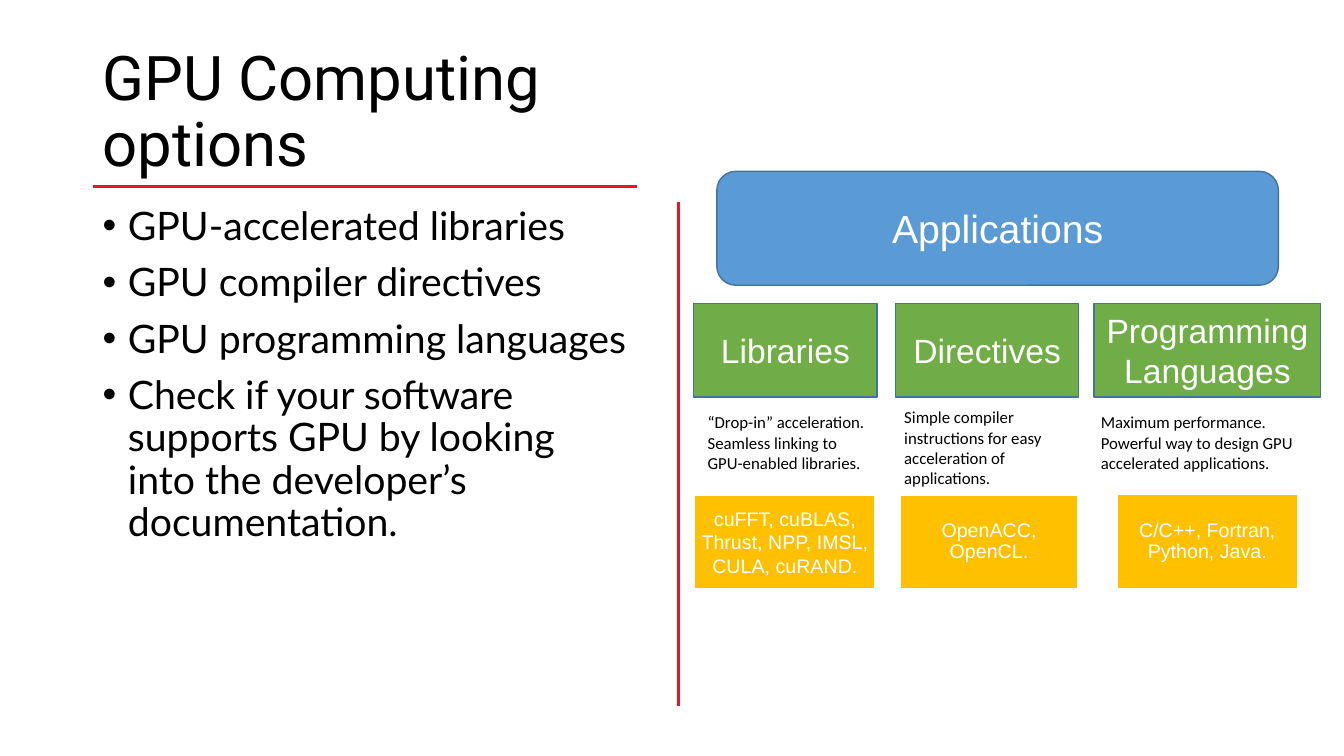
from lxml import etree
from pptx import Presentation, util as u
from pptx.dml.color import RGBColor
from pptx.enum import shapes, text
from pptx.oxml import ns

PX = 9144
BLACK = RGBColor(0x00, 0x00, 0x00)
WHITE = RGBColor(0xFF, 0xFF, 0xFF)
RED = RGBColor(0xE1, 0x19, 0x2B)
BLUE = RGBColor(0x5B, 0x9B, 0xD5)
NAVY = RGBColor(0x43, 0x73, 0x9E)
GREEN = RGBColor(0x70, 0xAD, 0x47)
GOLD = RGBColor(0xFF, 0xC0, 0x00)

MIDDLE = text.MSO_ANCHOR.MIDDLE
CENTER = text.PP_ALIGN.CENTER
RECT = shapes.MSO_SHAPE.RECTANGLE
ROUND = shapes.MSO_SHAPE.ROUNDED_RECTANGLE

POINTS = [
    "GPU-accelerated libraries",
    "GPU compiler directives",
    "GPU programming languages",
    "Check if your software supports GPU by looking into the developer’s documentation.",
]

COLUMNS = [
    ("Libraries", (688, 301, 182, 93),
     "“Drop-in” acceleration. Seamless linking to GPU-enabled libraries.",
     (692, 404, 176, 71),
     "cuFFT, cuBLAS, Thrust, NPP, IMSL, CULA, cuRAND.", (689, 491, 179, 93), 1.0),
    ("Directives", (888, 301, 182, 93),
     "Simple compiler instructions for easy acceleration of applications.",
     (887, 399, 183, 91),
     "OpenACC, OpenCL.", (893, 491, 176, 93), 0.9),
    ("Programming Languages", (1085, 301, 225, 93),
     "Maximum performance. Powerful way to design GPU accelerated applications.",
     (1082, 404, 233, 71),
     "C/C++, Fortran, Python, Java.", (1108, 490, 179, 94), 0.9),
]


class Deck:
    def __init__(self, wide, high):
        self.file = Presentation()
        self.file.slide_width = wide * PX
        self.file.slide_height = high * PX
        self.slide = self.file.slides.add_slide(self.file.slide_layouts[6])

    def scale(self, spots):
        return [spot * PX for spot in spots]

    def apply(self, item, values):
        for name, value in values.items():
            setattr(item, name, value)

    def fill_text(self, frame, lines, font, size, color, para=None, **look):
        self.apply(frame, {"word_wrap": True, **look})
        for i, line in enumerate(lines):
            p = frame.add_paragraph() if i else frame.paragraphs[0]
            self.apply(p, para or {})
            run = p.add_run()
            run.text = line
            self.apply(run.font, {"name": font, "size": u.Pt(size)})
            run.font.color.rgb = color

    def label(self, at, lines, *style, **look):
        box = self.slide.shapes.add_textbox(*self.scale(at))
        self.fill_text(box.text_frame, lines, *style, **look)
        return box

    def bullets(self, at, lines, *style, **look):
        box = self.label(at, lines, *style, **look)
        for p in box.text_frame.paragraphs:
            props = p._p.get_or_add_pPr()
            props.set("marL", str(25 * PX))
            props.set("indent", str(-25 * PX))
            etree.SubElement(props, ns.qn("a:buFont")).set("typeface", "Arial")
            etree.SubElement(props, ns.qn("a:buChar")).set("char", "•")

    def block(self, kind, at, fill, edge, line, size, space=1.0, **look):
        box = self.slide.shapes.add_shape(kind, *self.scale(at))
        box.shadow.inherit = False
        box.fill.solid()
        box.fill.fore_color.rgb = fill
        box.line.color.rgb = edge
        box.line.width = u.Pt(1)
        para = {"alignment": CENTER, "line_spacing": space}
        self.fill_text(box.text_frame, [line], "Arial", size, WHITE, para,
                       vertical_anchor=MIDDLE, **look)

    def rule(self, *ends):
        line = self.slide.shapes.add_connector(
            shapes.MSO_CONNECTOR.STRAIGHT, *self.scale(ends))
        line.line.color.rgb = RED
        line.line.width = u.Pt(2)
        etree.SubElement(line._element.spPr, ns.qn("a:effectLst"))


def main():
    deck = Deck(1333, 750)
    deck.rule(92, 185, 632, 185)
    deck.rule(673, 200, 673, 700)
    deck.label((92, 40, 639, 145), ["GPU Computing options"], "Roboto", 44, BLACK,
               {"line_spacing": 0.9}, vertical_anchor=MIDDLE)
    deck.bullets((92, 200, 541, 476), POINTS, "Lato", 28, BLACK,
                 {"line_spacing": 0.9, "space_before": u.Pt(10)})

    deck.block(ROUND, (711, 170, 557, 113), BLUE, NAVY, "Applications", 28)
    sides = ("left", "top", "right", "bottom")
    inset = {f"margin_{side}": 6 * PX for side in sides}
    for head, top, note, mid, tools, low, space in COLUMNS:
        deck.block(RECT, top, GREEN, NAVY, head, 24)
        deck.block(RECT, low, GOLD, WHITE, tools, 14, space, **inset)
        deck.label(mid, [note], "Calibri", 12, BLACK,
                   auto_size=text.MSO_AUTO_SIZE.SHAPE_TO_FIT_TEXT)
    deck.file.save("out.pptx")


if __name__ == "__main__":
    main()
